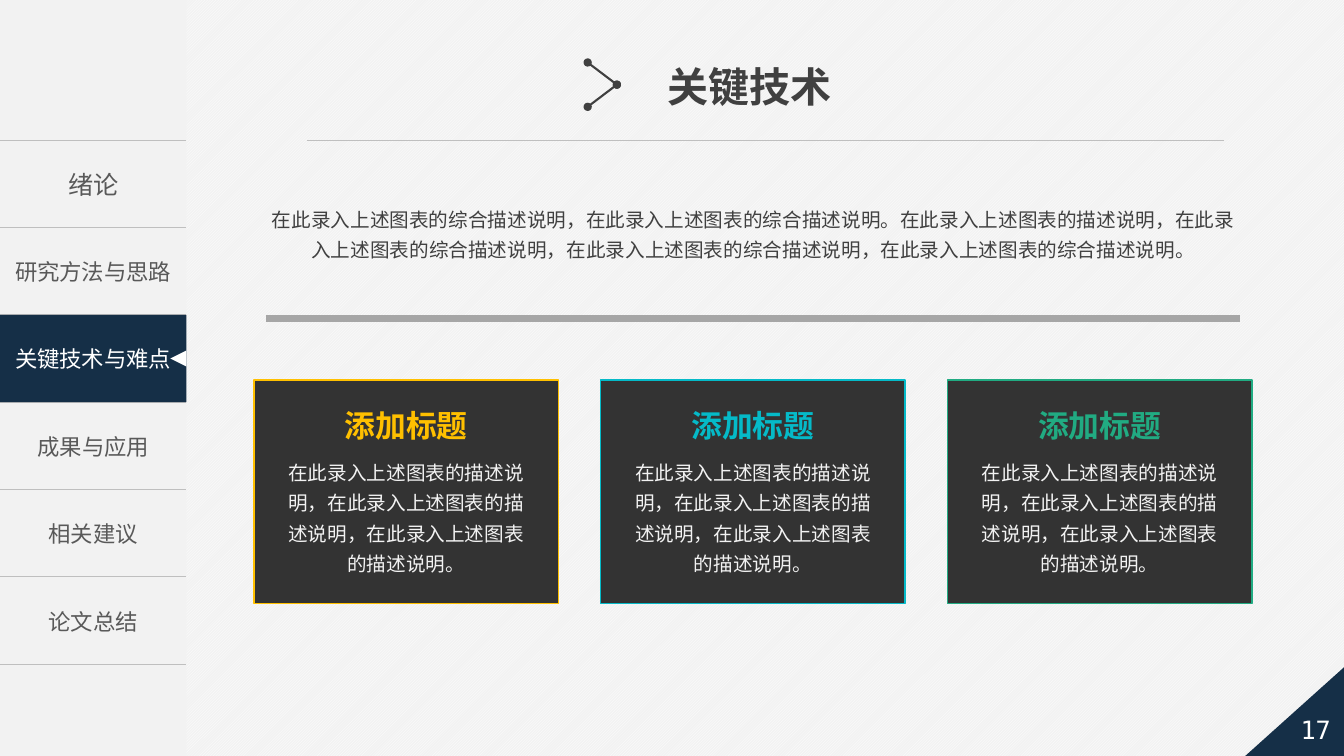
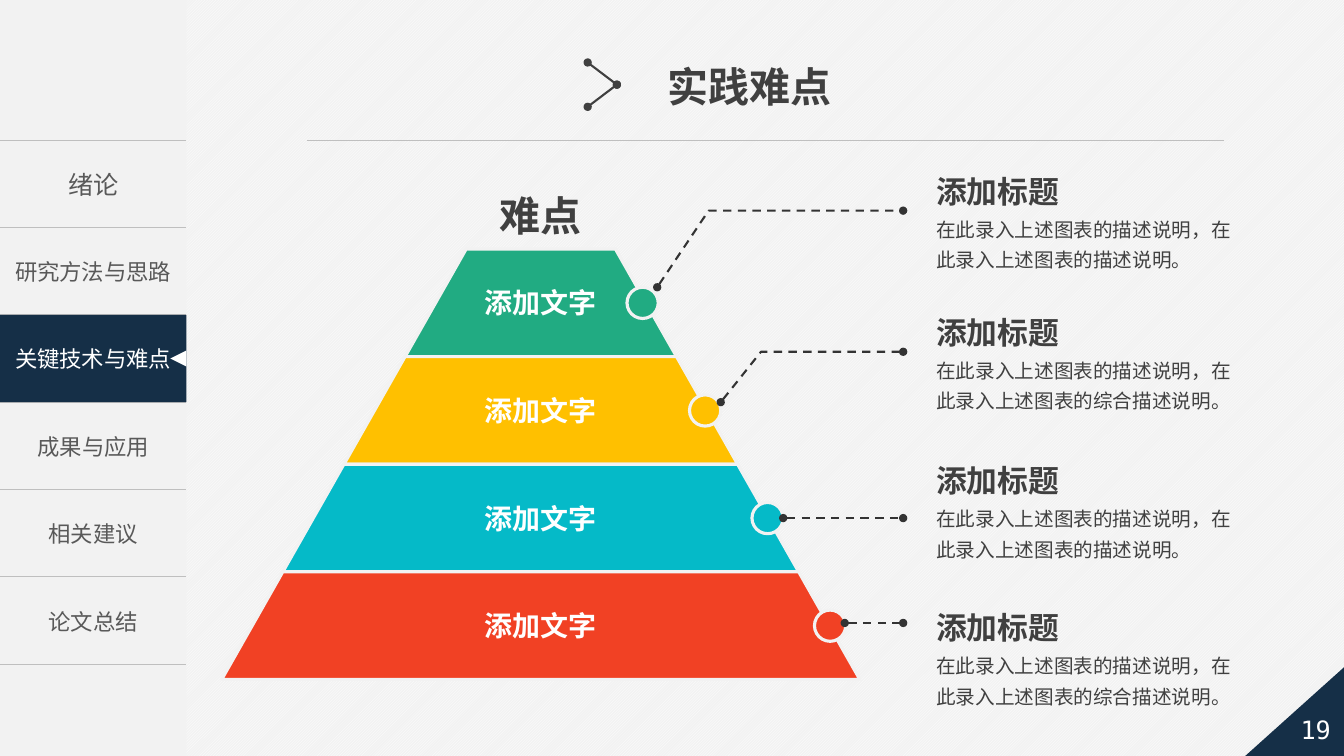
from typing import NamedTuple

from lxml.etree import SubElement
from pptx import Presentation
from pptx.dml.color import RGBColor
from pptx.enum.dml import MSO_LINE, MSO_PATTERN
from pptx.enum.shapes import MSO_CONNECTOR, MSO_SHAPE
from pptx.enum.text import MSO_ANCHOR, MSO_AUTO_SIZE, PP_ALIGN
from pptx.oxml.ns import qn
from pptx.util import Emu, Pt

GRID = 91440
COLUMNS, ROWS = 133.33, 75
SANS, LATIN, MONO = "Noto Sans CJK SC", "Arial", "DejaVu Sans Mono"
NAVY, PALE, WHITE = "152F47", "F2F2F2", "FFFFFF"
DARK, INK, MUTED, RULE, BAR = "333333", "404040", "595959", "BFBFBF", "A6A6A6"
YELLOW, CYAN, GREEN, RED = "FFC000", "05BAC8", "21AB82", "F14124"
SECTIONS = ["绪论", "研究方法与思路", "关键技术与难点", "成果与应用", "相关建议", "论文总结"]
CURRENT = 2
HEADING = "添加标题"


class Box(NamedTuple):
    left: float
    top: float
    width: float
    height: float

    def inside(self, column, row, width, height):
        return Box(self.left + column, self.top + row, width, height)

    def emu(self):
        return [units(length) for length in self]


def units(length):
    return Emu(round(length * GRID))


def color(hex_string):
    return RGBColor.from_string(hex_string)


def paint(shape, fill=None, line=None, width=1):
    shape.shadow.inherit = False
    if fill:
        shape.fill.solid()
        shape.fill.fore_color.rgb = color(fill)
    else:
        shape.fill.background()
    if line:
        shape.line.color.rgb = color(line)
        shape.line.width = Pt(width)
    else:
        shape.line.fill.background()


def write(text_frame, text, size, ink, bold=False, font=SANS, align=PP_ALIGN.CENTER, spacing=None):
    text_frame.text = text
    for paragraph in text_frame.paragraphs:
        paragraph.alignment = align
        if spacing:
            paragraph.line_spacing = spacing
        for run in paragraph.runs:
            run.font.size = Pt(size)
            run.font.bold = bold
            run.font.name = font
            run.font.color.rgb = color(ink)
            SubElement(run.font._element, qn("a:ea")).set("typeface", SANS)


def add_text(slide, box, text, size, ink, anchor=MSO_ANCHOR.TOP, **style):
    text_frame = slide.shapes.add_textbox(*box.emu()).text_frame
    text_frame.word_wrap = True
    text_frame.vertical_anchor = anchor
    write(text_frame, text, size, ink, **style)


def add_preset(slide, preset, box, fill, line=None, width=1):
    shape = slide.shapes.add_shape(preset, *box.emu())
    paint(shape, fill, line, width)
    return shape


def add_outline(slide, points, closed, fill=None, line=None, width=1):
    corners = [(units(x), units(y)) for x, y in points]
    builder = slide.shapes.build_freeform(*corners[0], scale=1.0)
    builder.add_line_segments(corners[1:], close=closed)
    shape = builder.convert_to_shape()
    paint(shape, fill, line, width)
    return shape


def add_line(slide, start, end, ink, width):
    connector = slide.shapes.add_connector(
        MSO_CONNECTOR.STRAIGHT, *[units(length) for length in (*start, *end)])
    connector.line.color.rgb = color(ink)
    connector.line.width = Pt(width)
    SubElement(connector._element.spPr, qn("a:effectLst"))
    return connector


def add_oval_ends(shape, dashed=False):
    if dashed:
        shape.line.dash_style = MSO_LINE.DASH
    line = shape.line._get_or_add_ln()
    for end in ("a:headEnd", "a:tailEnd"):
        SubElement(line, qn(end)).set("type", "oval")


def add_cell_borders(cell):
    properties = cell._tc.get_or_add_tcPr()
    for side in ("a:lnL", "a:lnR", "a:lnT", "a:lnB"):
        border = SubElement(properties, qn(side))
        if side in ("a:lnL", "a:lnR"):
            SubElement(border, qn("a:noFill"))
        else:
            border.set("w", str(Pt(1)))
            fill = SubElement(border, qn("a:solidFill"))
            SubElement(fill, qn("a:srgbClr")).set("val", RULE)


def add_navigation(slide, box):
    add_preset(slide, MSO_SHAPE.RECTANGLE, box, PALE)
    menu = box.inside(0, 13.9, box.width, 52)
    row_height = menu.height / len(SECTIONS)
    table = slide.shapes.add_table(len(SECTIONS), 1, *menu.emu()).table
    table.first_row = table.horz_banding = False
    for index, section in enumerate(SECTIONS):
        table.rows[index].height = units(row_height)
        cell = table.cell(index, 0)
        add_cell_borders(cell)
        cell.fill.background()
        cell.vertical_anchor = MSO_ANCHOR.MIDDLE
        if index != CURRENT:
            write(cell.text_frame, section, 16 if index else 18, MUTED)

    marker = menu.inside(0, CURRENT * row_height, menu.width, row_height)
    highlight = add_preset(slide, MSO_SHAPE.RECTANGLE, marker, NAVY)
    highlight.text_frame.vertical_anchor = MSO_ANCHOR.MIDDLE
    write(highlight.text_frame, SECTIONS[CURRENT], 16, WHITE)
    pointer_box = marker.inside(marker.width - 1.6, (row_height - 1.6) / 2, 1.6, 1.6)
    pointer = add_preset(slide, MSO_SHAPE.ISOSCELES_TRIANGLE, pointer_box, WHITE)
    pointer.rotation = 270


def add_header(slide, box, title_text):
    title = slide.shapes.title
    title.left, title.top, title.width, title.height = box.inside(34.7, 5.6, 30, 5.9).emu()
    title.text_frame.word_wrap = False
    title.text_frame.auto_size = MSO_AUTO_SIZE.NONE
    title.text_frame.vertical_anchor = MSO_ANCHOR.TOP
    write(title.text_frame, title_text, 29.3, INK, True, LATIN, PP_ALIGN.LEFT)

    left, middle = box.left + 27.8, box.top + 8.4
    tip = (left + 2.9, middle)
    for start, end in (((left, middle - 2.2), tip), (tip, (left, middle + 2.2))):
        add_oval_ends(add_line(slide, start, end, INK, 1.5))
    bottom = box.top + box.height
    add_line(slide, (box.left, bottom), (box.left + box.width, bottom), RULE, 0.5)


def add_page_number(slide, box, number):
    corner = add_preset(slide, MSO_SHAPE.RIGHT_TRIANGLE, box, NAVY)
    corner._element.spPr.find(qn("a:xfrm")).set("flipH", "1")
    add_text(slide, box.inside(4.2, 3.5, 5.6, 5.3), number, 18, WHITE,
             MSO_ANCHOR.MIDDLE, font=MONO)


def new_slide(presentation, title, number):
    slide = presentation.slides.add_slide(presentation.slide_layouts[5])
    add_navigation(slide, Box(0, 0, 18.5, ROWS))
    add_header(slide, Box(30.5, 0, 90.9, 13.9), title)
    add_page_number(slide, Box(COLUMNS - 9.8, ROWS - 8.8, 9.8, 8.8), number)
    return slide


def add_summary(slide, box, text):
    add_text(slide, box.inside(0, 0, box.width, 7.1), text, 14, INK, spacing=1.3)
    bottom = box.top + box.height
    add_line(slide, (box.left + 1.2, bottom), (box.left + box.width - 1.3, bottom), BAR, 4.5)


def add_card(slide, box, accent, text):
    add_preset(slide, MSO_SHAPE.RECTANGLE, box, DARK, accent)
    add_text(slide, box.inside(0, 2.2, box.width, 4.7), HEADING, 22, accent, bold=True)
    add_text(slide, box.inside(1.8, 6.8, box.width - 3.6, 13.3), text, 14, PALE, spacing=1.3)


def add_cards(slide, box, accents, text):
    card_width = 30.2
    pitch = (box.width - card_width) / (len(accents) - 1)
    for index, accent in enumerate(accents):
        add_card(slide, box.inside(index * pitch, 0, card_width, box.height), accent, text)


def add_pyramid(slide, box, accents):
    center = box.left + box.width / 2
    top_half = 7.4
    level = box.height / len(accents)
    widening = (box.width / 2 - top_half) / len(accents)
    for index, accent in enumerate(accents):
        top = box.top + index * level
        upper = top_half + index * widening
        lower = upper + widening
        points = [(center - upper, top), (center - lower, top + level),
                  (center + lower, top + level), (center + upper, top)]
        add_outline(slide, points, True, accent, PALE, 2.25)
        add_text(slide, Box(center - upper, top, 2 * upper, level), "添加文字", 20, WHITE,
                 MSO_ANCHOR.MIDDLE, bold=True)
    for index, accent in enumerate(accents):
        knob = box.inside(40.2 + index * 6.2, 3.8 + index * level, 3.1, 3.1)
        add_preset(slide, MSO_SHAPE.OVAL, knob, accent, PALE, 2.25)
    add_text(slide, Box(center - 10, box.top - 6.3, 20, 5.9), "难点", 29.3, INK,
             bold=True, font=LATIN)


def add_leader(slide, points):
    if len(points) == 2:
        leader = add_line(slide, *points, DARK, 1.5)
    else:
        leader = add_outline(slide, points, False, line=DARK, width=1.5)
    add_oval_ends(leader, dashed=True)


def add_callout(slide, box, text):
    left = PP_ALIGN.LEFT
    add_text(slide, box.inside(0, 0, box.width, 4.7), HEADING, 22, INK, bold=True, align=left)
    add_text(slide, box.inside(0, 3.8, box.width, 6.8), text, 14, INK, align=left, spacing=1.3)


def build_technology(presentation):
    slide = new_slide(presentation, "关键技术", "17")
    add_summary(
        slide, Box(25.2, 19.4, 99.1, 12.2),
        "在此录入上述图表的综合描述说明，在此录入上述图表的综合描述说明。"
        "在此录入上述图表的描述说明，在此录入上述图表的综合描述说明，"
        "在此录入上述图表的综合描述说明，在此录入上述图表的综合描述说明。")
    add_cards(
        slide, Box(25.2, 37.7, 99, 22.2), [YELLOW, CYAN, GREEN],
        "在此录入上述图表的描述说明，在此录入上述图表的描述说明，在此录入上述图表的描述说明。")


def build_difficulties(presentation):
    slide = new_slide(presentation, "实践难点", "19")
    add_pyramid(slide, Box(22, 24.7, 63.3, 42.7), [GREEN, YELLOW, CYAN, RED])
    leader_end = 89.6
    short = "在此录入上述图表的描述说明，在此录入上述图表的描述说明。"
    detailed = "在此录入上述图表的描述说明，在此录入上述图表的综合描述说明。"
    callouts = [
        (16.6, short, [(65.2, 28.5), (70.3, 20.9)], 20.9),
        (30.6, detailed, [(71.5, 39.9), (75.5, 34.9)], 34.9),
        (45.3, short, [(77.7, 51.4)], 51.4),
        (59.9, detailed, [(83.8, 61.8)], 61.8),
    ]
    for top, text, points, leader_row in callouts:
        add_leader(slide, [*points, (leader_end, leader_row)])
        add_callout(slide, Box(91.9, top, 32.6, 10.6), text)


def main():
    presentation = Presentation()
    presentation.slide_width, presentation.slide_height = units(COLUMNS), units(ROWS)
    background = presentation.slide_master.background.fill
    background.patterned()
    background.pattern = MSO_PATTERN.LIGHT_UPWARD_DIAGONAL
    background.fore_color.rgb = color(WHITE)
    background.back_color.rgb = color(PALE)
    build_technology(presentation)
    build_difficulties(presentation)
    presentation.save("out.pptx")


if __name__ == "__main__":
    main()
